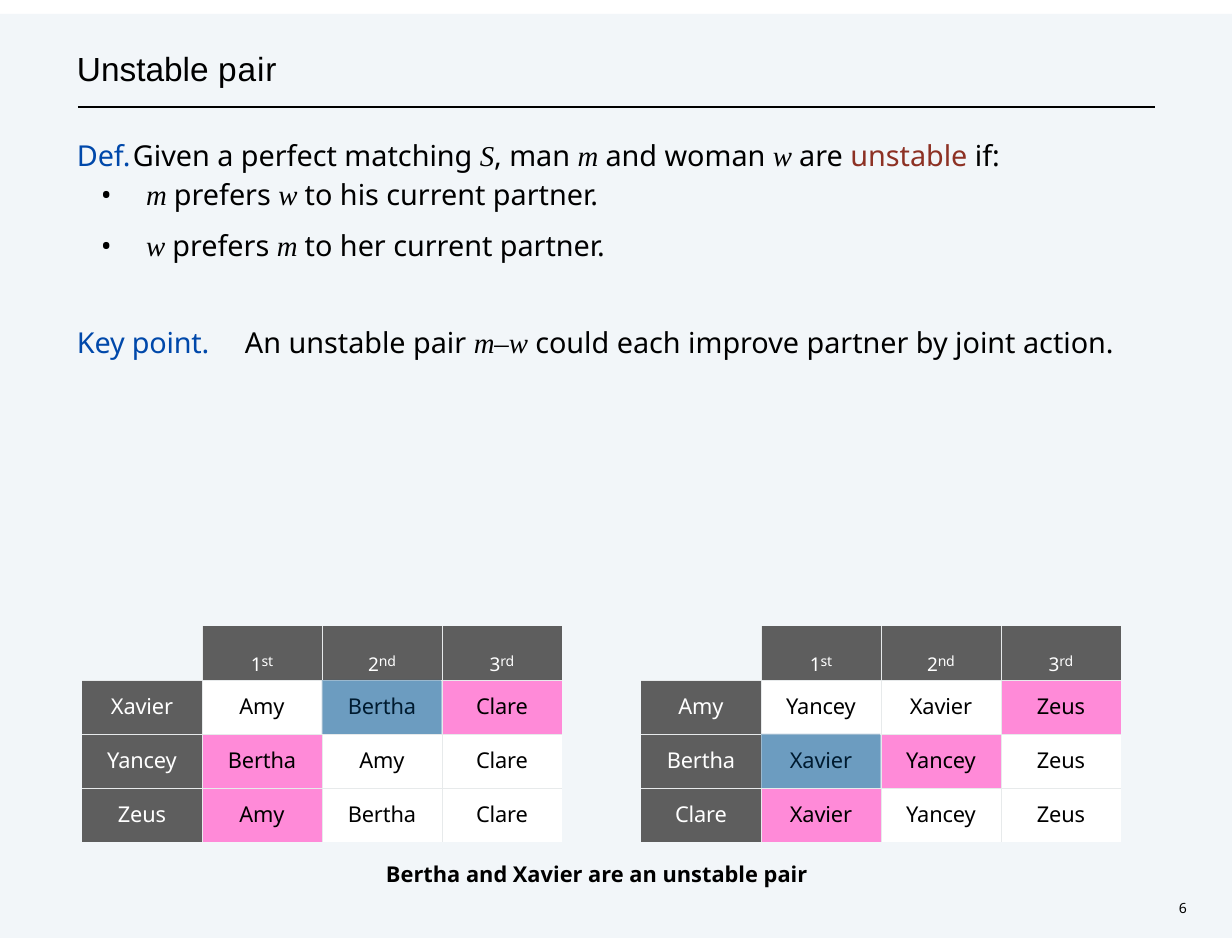
from lxml.etree import SubElement
from pptx import Presentation
from pptx.dml.color import RGBColor
from pptx.enum.shapes import MSO_CONNECTOR, MSO_SHAPE
from pptx.enum.text import MSO_ANCHOR, MSO_AUTO_SIZE, PP_ALIGN
from pptx.oxml import parse_xml
from pptx.oxml.ns import nsdecls, qn
from pptx.util import Emu, Pt

PX = 914400 // 112


class Theme:
    navy, blue, red = "005493", "0048AA", "8D3124"
    grey, pink, white, black = "5E5E5E", "FF8AD8", "FFFFFF", "000000"
    border = "E7EAEB"
    sans, serif, heading = "Noto Sans", "Times New Roman", "Arial"
    title, body, table, ordinal, small = 21.5, 18.5, 14, 21, 9


def add_text(paragraph, text, size=Theme.body, font=Theme.sans, color=Theme.black,
             bold=False, italic=False, spacing=0, baseline=0):
    """Append one run; spacing is in points, baseline in percent."""
    run = paragraph.add_run()
    run.text = text
    run.font.size = Pt(size)
    run.font.name = font
    run.font.bold = bold
    run.font.italic = italic
    run.font.color.rgb = RGBColor.from_string(color)
    properties = run.font._element
    properties.set("spc", str(round(spacing * 100)))
    if baseline:
        properties.set("baseline", str(baseline * 1000))


def prepare_frame(shape, left, top, width, height, inset):
    """Place a text shape and return its frame, top-anchored with only a top inset."""
    shape.left, shape.top = Emu(left * PX), Emu(top * PX)
    shape.width, shape.height = Emu(width * PX), Emu(height * PX)
    frame = shape.text_frame
    frame.word_wrap = True
    frame.auto_size = MSO_AUTO_SIZE.NONE
    frame.vertical_anchor = MSO_ANCHOR.TOP
    frame.margin_left = frame.margin_right = frame.margin_bottom = 0
    frame.margin_top = Emu(inset * PX)
    return frame


presentation = Presentation()
presentation.slide_width = Emu(1232 * PX)
presentation.slide_height = Emu(952 * PX)
slide = presentation.slides.add_slide(presentation.slide_layouts[1])
shapes = slide.shapes
translucent = []  # (element holding the colour, opacity in percent)

# Background panel, behind the placeholders
panel = shapes.add_shape(MSO_SHAPE.RECTANGLE, 0, 14 * PX, 1232 * PX, 924 * PX)
shapes._spTree.insert(2, panel._element)
panel.shadow.inherit = False
panel.fill.solid()
panel.fill.fore_color.rgb = RGBColor.from_string(Theme.navy)
panel.line.fill.background()
translucent.append((panel._element.spPr, 5))

# Title and rule
frame = prepare_frame(shapes.title, 75, 46, 692, 44, 2)
paragraph = frame.paragraphs[0]
paragraph.alignment = PP_ALIGN.LEFT
paragraph.space_before = Pt(1.1)
paragraph._p.get_or_add_pPr().set("marL", str(2 * PX))
add_text(paragraph, "Unstable ", size=Theme.title, font=Theme.heading)
add_text(paragraph, "pair", size=Theme.title, font=Theme.heading, spacing=0.6)

rule = shapes.add_connector(MSO_CONNECTOR.STRAIGHT, 78 * PX, 107 * PX, 1155 * PX, 107 * PX)
rule.line.color.rgb = RGBColor.from_string(Theme.black)
rule.line.width = Pt(0.77)
SubElement(rule._element.spPr, qn("a:effectLst"))

# Definition and key point
variable = {"font": Theme.serif, "italic": True}
label = {"color": Theme.blue, "spacing": -0.1}
body_lines = [  # line height, space before, tab stop (None for a bullet), runs
    (20.3, 1.1, 82, [("Def.\t", label), ("Given a perfect matching ", {}), ("S", variable),
                     (", man ", {}), ("m ", variable), ("and woman ", {}), ("w ", variable),
                     ("are ", {}), ("unstable ", {"color": Theme.red}), ("if:", {})]),
    (25, 0, None, [("m ", variable), ("prefers ", {}), ("w ", variable),
                   ("to his current partner.", {})]),
    (25, 7.8, None, [("w ", variable), ("prefers ", {}), ("m ", variable),
                     ("to her current partner.", {})]),
    (25, 37, 167, [("Key point.\t", label), ("An unstable pair ", {}), ("m–w ", variable),
                   ("could each improve partner by joint action.", {})]),
]
frame = prepare_frame(shapes.placeholders[1], 71, 140, 1081, 221, 1)
for index, (line_height, space, tab, runs) in enumerate(body_lines):
    paragraph = frame.add_paragraph() if index else frame.paragraphs[0]
    paragraph.line_spacing = Pt(line_height)
    paragraph.space_before = Pt(space)
    properties = paragraph._p.get_or_add_pPr()
    if tab is None:
        properties.set("marL", str(75 * PX))
        properties.set("indent", str(-45 * PX))
        SubElement(properties, qn("a:buFont"), typeface=Theme.sans)
        SubElement(properties, qn("a:buChar"), char="•")
    else:
        properties.set("marL", str(6 * PX))
        properties.set("indent", "0")
        SubElement(properties, qn("a:buNone"))
        tabs = SubElement(properties, qn("a:tabLst"))
        SubElement(tabs, qn("a:tab"), pos=str(tab * PX), algn="l")
    for text, style in runs:
        add_text(paragraph, text, **style)

# Preference tables: left edge, rows, matched cells, cell of the unstable pair
COLUMN, ROW, TABLE_TOP = 120, 54, 626
ORDINALS = [("1", "st"), ("2", "nd"), ("3", "rd")]
preferences = [
    (82, ["Xavier Amy Bertha Clare", "Yancey Bertha Amy Clare", "Zeus Amy Bertha Clare"],
     {(1, 3), (2, 1), (3, 1)}, (1, 2)),
    (641, ["Amy Yancey Xavier Zeus", "Bertha Xavier Yancey Zeus", "Clare Xavier Yancey Zeus"],
     {(1, 3), (2, 2), (3, 1)}, (2, 1)),
]
for left, rows, matched, unstable in preferences:
    table = shapes.add_table(4, 4, left * PX, TABLE_TOP * PX,
                             4 * COLUMN * PX, 4 * ROW * PX).table
    table.first_row = table.horz_banding = False
    for column in table.columns:
        column.width = Emu(COLUMN * PX)
    for row in table.rows:
        row.height = Emu(ROW * PX)
    names = [name_row.split() for name_row in rows]

    for r in range(4):
        for c in range(4):
            cell = table.cell(r, c)
            cell.margin_left = cell.margin_right = cell.margin_bottom = 0
            cell.margin_top = Emu((11 if r else 6) * PX)
            paragraph = cell.text_frame.paragraphs[0]
            paragraph.alignment = PP_ALIGN.CENTER
            paragraph.space_before = Pt(7 if r else 3.3)
            heading = r == 0 or c == 0
            color = Theme.white if heading else Theme.black
            if r:
                add_text(paragraph, names[r - 1][c], size=Theme.table, color=color, spacing=-0.1)
            elif c:
                number, suffix = ORDINALS[c - 1]
                add_text(paragraph, number, size=Theme.ordinal, color=color,
                         spacing=-0.4, baseline=-14)
                add_text(paragraph, suffix, size=Theme.small, color=color, spacing=-0.2)

            if r == c == 0:
                cell.fill.background()
            else:
                fill = (Theme.grey if heading else Theme.pink if (r, c) in matched
                        else Theme.navy if (r, c) == unstable else Theme.white)
                cell.fill.solid()
                cell.fill.fore_color.rgb = RGBColor.from_string(fill)
            properties = cell._tc.get_or_add_tcPr()
            if (r, c) == unstable:
                translucent.append((properties.find(qn("a:solidFill")), 33))
            inner_sides = {"L": c > 0, "R": c < 3, "T": r > 0, "B": r < 3}
            for position, (side, inner) in enumerate(inner_sides.items()):
                paint = (f'<a:solidFill><a:srgbClr val="{Theme.border}"/></a:solidFill>'
                         if inner else "<a:noFill/>")
                properties.insert(position, parse_xml(
                    f'<a:ln{side} {nsdecls("a")} w="3175">{paint}</a:ln{side}>'))

    highlight = shapes.add_shape(
        MSO_SHAPE.RECTANGLE, (left + unstable[1] * COLUMN) * PX,
        (TABLE_TOP + unstable[0] * ROW) * PX, (COLUMN - 1) * PX, ROW * PX)
    highlight.shadow.inherit = False
    highlight.fill.solid()
    highlight.fill.fore_color.rgb = RGBColor.from_string(Theme.navy)
    highlight.line.fill.background()
    translucent.append((highlight._element.spPr, 33))

for element, opacity in translucent:
    SubElement(next(element.iter(qn("a:srgbClr"))), qn("a:alpha"), val=str(opacity * 1000))

# Conclusion and page number
notes = [
    ("Bertha and Xavier are an unstable pair", (385, 860, 431, 29), Theme.table, True),
    ("6", (1178, 899, 14, 20), Theme.small, False),
]
for text, box, size, bold in notes:
    frame = prepare_frame(shapes.add_textbox(0, 0, 0, 0), *box, inset=1)
    paragraph = frame.paragraphs[0]
    paragraph.space_before = Pt(0.8)
    paragraph._p.get_or_add_pPr().set("marL", str(PX))
    add_text(paragraph, text, size=size, bold=bold)

presentation.save("out.pptx")
